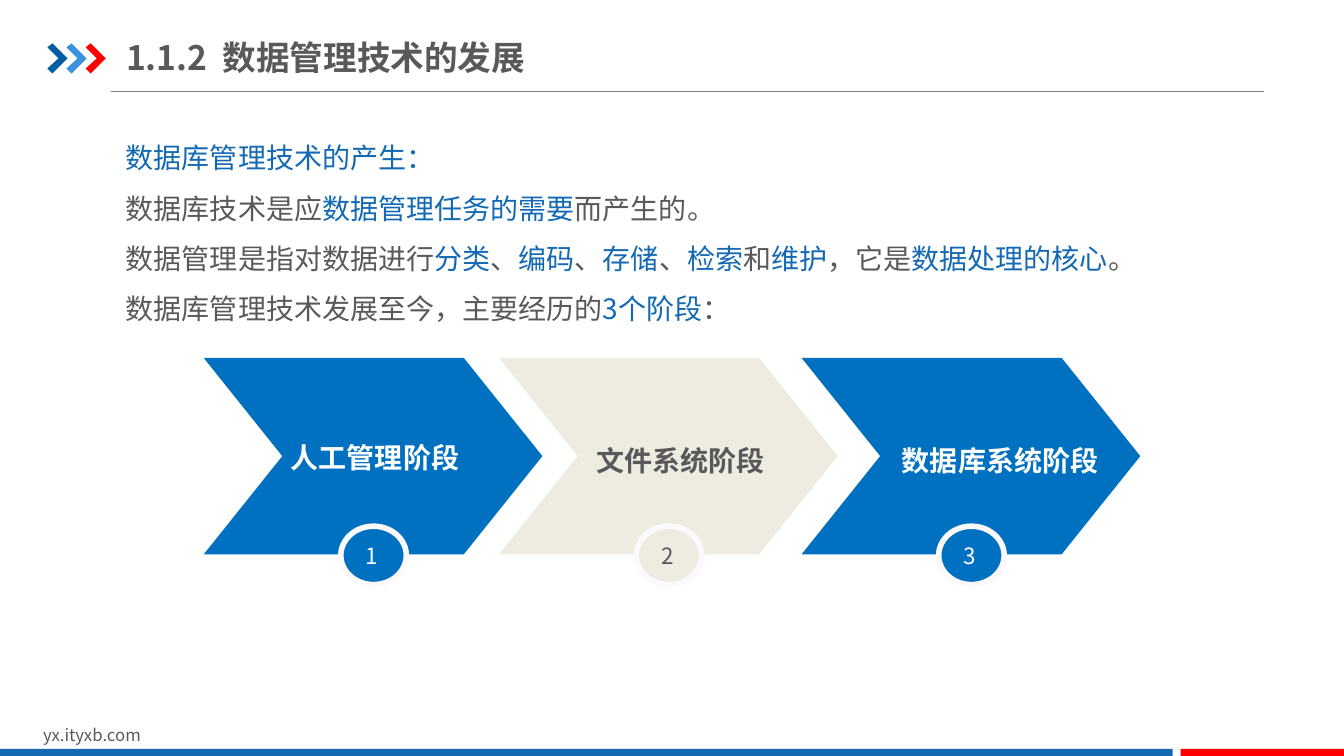
from lxml import etree
from pptx import Presentation
from pptx.dml.color import RGBColor
from pptx.enum.shapes import MSO_CONNECTOR, MSO_SHAPE
from pptx.enum.text import MSO_ANCHOR, PP_ALIGN
from pptx.oxml.ns import qn
from pptx.util import Inches, Pt

FONT = "Noto Sans CJK SC"
WHITE = RGBColor(0xFF, 0xFF, 0xFF)
GRAY = RGBColor(0x59, 0x59, 0x59)
RULE_GRAY = RGBColor(0x80, 0x80, 0x80)
TEXT_BLUE = RGBColor(0x13, 0x69, 0xB3)
BAR_BLUE = RGBColor(0x13, 0x69, 0xB2)
STAGE_BLUE = RGBColor(0x00, 0x70, 0xC0)
STAGE_BEIGE = RGBColor(0xEE, 0xEC, 0xE1)
BADGE_RING = RGBColor(0xFB, 0xF9, 0xFC)
DARK_BLUE = RGBColor(0x00, 0x5D, 0xA2)
LIGHT_BLUE = RGBColor(0x39, 0x92, 0xDB)
RED = RGBColor(0xFF, 0x00, 0x00)

LEFT, CENTER = PP_ALIGN.LEFT, PP_ALIGN.CENTER
TOP, MIDDLE = MSO_ANCHOR.TOP, MSO_ANCHOR.MIDDLE
RECT, CHEVRON, OVAL = MSO_SHAPE.RECTANGLE, MSO_SHAPE.CHEVRON, MSO_SHAPE.OVAL
STRAIGHT = MSO_CONNECTOR.STRAIGHT

# Each paragraph is a list of runs; runs alternate between gray and blue.
BODY = [
    ["", "数据库管理技术的产生："],
    ["数据库技术是应", "数据管理任务的需要", "而产生的。"],
    ["数据管理是指对数据进行", "分类", "、", "编码", "、", "存储", "、", "检索",
     "和", "维护", "，它是", "数据处理的核心", "。"],
    ["数据库管理技术发展至今，主要经历的", "3个阶段", "："],
]

# Chevron left, fill, text colour, label, label centre x and y
STAGES = [
    (2.02, STAGE_BLUE, WHITE, "人工管理阶段", 3.72, 4.54),
    (4.95, STAGE_BEIGE, GRAY, "文件系统阶段", 6.75, 4.57),
    (7.95, STAGE_BLUE, WHITE, "数据库系统阶段", 9.92, 4.57),
]


def add_text(s, text, x, y, w, h, size=20, color=GRAY, bold=False, align=LEFT,
             anchor=MIDDLE, inset=(0, 0), spacing=1.0):
    """Add a text box; text is a string or paragraphs of (text, colour) runs."""
    tf = s.shapes.add_textbox(Inches(x), Inches(y), Inches(w), Inches(h)).text_frame
    tf.word_wrap = True
    tf.vertical_anchor = anchor
    tf.margin_left = tf.margin_right = Inches(inset[0])
    tf.margin_top = tf.margin_bottom = Inches(inset[1])
    paragraphs = [[(text, color)]] if isinstance(text, str) else text
    for i, runs in enumerate(paragraphs):
        p = tf.add_paragraph() if i else tf.paragraphs[0]
        p.alignment = align
        p.line_spacing = spacing
        for run_text, run_color in runs:
            r = p.add_run()
            r.text = run_text
            r.font.name = FONT
            r.font.size = Pt(size)
            r.font.bold = bold
            r.font.color.rgb = run_color
            latin = r.font._element.find(qn("a:latin"))
            ea = etree.Element(qn("a:ea"), typeface=FONT)
            latin.addnext(ea)


def paint(sp, fill, ring=None):
    sp.shadow.inherit = False
    sp.fill.solid()
    sp.fill.fore_color.rgb = fill
    if ring is None:
        sp.line.fill.background()
    else:
        sp.line.color.rgb = ring
        sp.line.width = Pt(4)


def add_preset(s, kind, x, y, w, h, fill, ring=None):
    sp = s.shapes.add_shape(kind, Inches(x), Inches(y), Inches(w), Inches(h))
    paint(sp, fill, ring)
    return sp


def add_title_arrow(s, x, y, fill):
    points = [(0, 0.04), (0.05, 0), (0.2, 0.15), (0.05, 0.3), (0, 0.25), (0.11, 0.15)]
    outline = [(Inches(x + dx), Inches(y + dy)) for dx, dy in points]
    builder = s.shapes.build_freeform(*outline[0])
    builder.add_line_segments(outline[1:], close=True)
    paint(builder.convert_to_shape(), fill)


def add_rule(s, x1, x2, y):
    line = s.shapes.add_connector(STRAIGHT, Inches(x1), Inches(y), Inches(x2), Inches(y))
    line.line.color.rgb = RULE_GRAY
    line.line.width = Pt(0.75)
    etree.SubElement(line._element.spPr, qn("a:effectLst"))


def add_header(s):
    add_rule(s, 1.1, 12.54, 0.91)
    for i, color in enumerate((DARK_BLUE, LIGHT_BLUE, RED)):
        add_title_arrow(s, 0.47 + i * 0.19, 0.43, color)
    add_text(s, "1.1.2  数据管理技术的发展", 1.25, 0.29, 4.39, 0.55, size=24,
             bold=True, inset=(0, 0.07))


def add_footer(s):
    add_text(s, "yx.ityxb.com", 0.33, 7.14, 3.18, 0.3, size=12, anchor=TOP,
             inset=(0.1, 0.05))
    add_preset(s, RECT, 0, 7.43, 11.63, 0.07, BAR_BLUE)
    add_preset(s, RECT, 11.71, 7.43, 1.62, 0.07, RED)


def add_body(s):
    colors = (GRAY, TEXT_BLUE)
    paragraphs = [[(text, colors[i % 2]) for i, text in enumerate(runs) if text]
                  for runs in BODY]
    add_text(s, paragraphs, 1.15, 1.18, 11.4, 2.12, anchor=TOP,
             inset=(0.1, 0.05), spacing=1.5)


def add_stage(s, number, x, fill, color, label, label_x, label_y):
    chevron = add_preset(s, CHEVRON, x, 3.55, 3.36, 1.95, fill)
    chevron.adjustments[0] = 0.4
    add_text(s, label, label_x - 1.15, label_y - 0.2, 2.3, 0.4, color=color,
             bold=True, align=CENTER)
    add_preset(s, OVAL, x + 1.36, 5.22, 0.65, 0.58, fill, BADGE_RING)
    add_text(s, str(number), x + 1.61, 5.3, 0.19, 0.42, size=16, color=color)


def main():
    prs = Presentation()
    prs.slide_width, prs.slide_height = Inches(13.33), Inches(7.5)
    s = prs.slides.add_slide(prs.slide_layouts[6])
    add_header(s)
    add_footer(s)
    add_body(s)
    for number, stage in enumerate(STAGES, 1):
        add_stage(s, number, *stage)
    prs.save("out.pptx")


if __name__ == "__main__":
    main()
